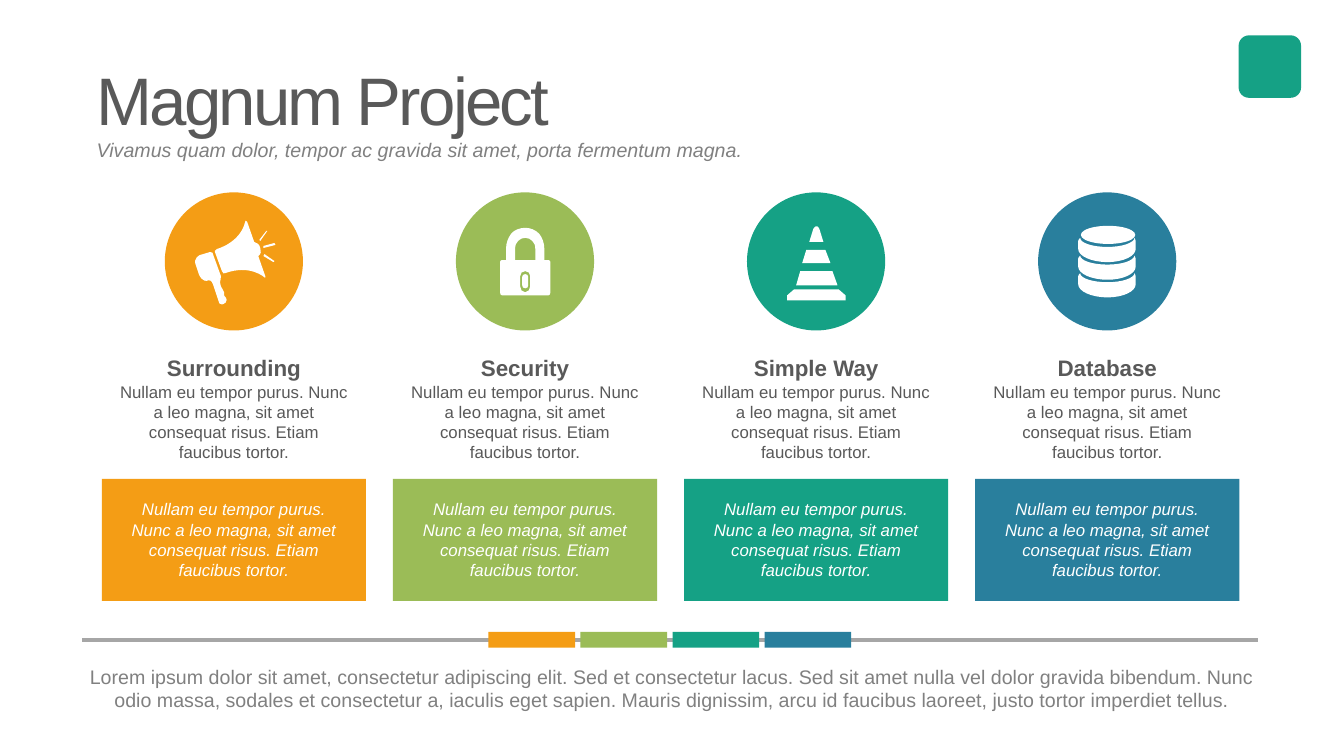
from dataclasses import dataclass
from typing import Optional

from lxml import etree
from pptx import Presentation
from pptx.dml.color import RGBColor
from pptx.enum.shapes import MSO_CONNECTOR, MSO_SHAPE
from pptx.enum.text import MSO_ANCHOR, MSO_AUTO_SIZE, PP_ALIGN
from pptx.oxml.ns import qn
from pptx.util import Emu, Inches, Pt

RECTANGLE, ROUNDED, OVAL = MSO_SHAPE.RECTANGLE, MSO_SHAPE.ROUNDED_RECTANGLE, MSO_SHAPE.OVAL
STRAIGHT = MSO_CONNECTOR.STRAIGHT
TOP, MIDDLE = MSO_ANCHOR.TOP, MSO_ANCHOR.MIDDLE
GROW = MSO_AUTO_SIZE.SHAPE_TO_FIT_TEXT
LEFT, CENTER = PP_ALIGN.LEFT, PP_ALIGN.CENTER

SLIDE_WIDTH, SLIDE_HEIGHT = Inches(13.33), Inches(7.5)
ICON_UNIT = Inches(0.01)
COLUMN_PITCH, MARKER_PITCH = 21.66, 6.85
ICON_CENTER_X, ICON_CENTER_Y = 17.42, 34.67
RULE_START, RULE_END, RULE_TOP = 6.12, 93.62, 84.67

FONT = "Arial"
ORANGE, GREEN, TEAL, BLUE = "F49D15", "9BBC57", "15A185", "297F9D"
WHITE, DARK, GRAY, RULE = "FFFFFF", "595959", "808080", "A6A6A6"
SLIM_INSETS = (0.07, 0.03)
BLURB = "Nullam eu tempor purus. Nunc a leo magna, sit amet consequat risus. Etiam faucibus tortor."
TAGLINE = "Vivamus quam dolor, tempor ac gravida sit amet, porta fermentum magna."
CLOSING = (
    "Lorem ipsum dolor sit amet, consectetur adipiscing elit. Sed et consectetur lacus. "
    "Sed sit amet nulla vel dolor gravida bibendum. Nunc odio massa, sodales et consectetur a, "
    "iaculis eget sapien. Mauris dignissim, arcu id faucibus laoreet, justo tortor imperdiet tellus."
)

Contour = list[tuple[float, ...]]
Outline = list[Contour]


@dataclass(frozen=True)
class Box:
    left: float
    top: float
    width: float
    height: float

    def shifted(self, distance: float) -> "Box":
        return Box(self.left + distance, self.top, self.width, self.height)

    def emu(self) -> tuple[Emu, Emu, Emu, Emu]:
        return across(self.left), down(self.top), across(self.width), down(self.height)


@dataclass(frozen=True)
class Style:
    size: float
    color: str
    bold: bool = False
    italic: bool = False
    align: PP_ALIGN = CENTER
    spacing: Optional[float] = None


@dataclass(frozen=True)
class Column:
    heading: str
    color: str
    icon: list[Outline]
    lid: Optional[Box] = None


BADGE_BOX = Box(92.16, 4.67, 4.65, 8.27)
TITLE_BOX = Box(6.66, 7.27, 34.88, 11.73)
TAGLINE_BOX = Box(6.66, 17.8, 52.51, 4)
CIRCLE_BOX = Box(12.26, 25.45, 10.28, 18.27)
TEXT_BOX = Box(7.92, 44.45, 18.98, 17.47)
PANEL_BOX = Box(7.58, 63.36, 19.65, 16.13)
MARKER_BOX = Box(36.34, 83.6, 6.45, 2.08)
CLOSING_BOX = Box(5.01, 87.4, 90.02, 7.2)
LID_BOX = Box(80.42, 29.87, 4.05, 2.4)

MEGAPHONE: list[Outline] = [
    [[(-14, 20), (-14, 20, -13, 16, -13, 14), (-21, -8), (-21, -8, -21, -11, -24, -10),
      (-34, -7), (-34, -7, -41, -4, -38, 3), (-35, 12), (-35, 12, -32, 21, -25, 18),
      (-25, 18, -22, 18, -21, 22), (-15, 40), (-15, 40, -15, 42, -12, 42),
      (-12, 42, -3, 40, -10, 33), (-8, 29, -14, 26, -14, 20)]],
    [[(24, -6), (27, -8, 27, -11, 26, -14), (25, -18, 23, -19, 20, -20), (13, -40),
      (12, -43, 11, -40, 11, -40), (6, -19, -17, -13, -17, -13), (-20, -12, -19, -10, -19, -10),
      (-12, 9), (-12, 12, -9, 11, -9, 11), (16, 2, 30, 15, 30, 15), (30, 15, 32, 17, 31, 14)]],
    [[(33, -31), (32, -31), (25, -22), (26, -21)]],
    [[(29, -6), (39, 0), (40, -1), (30, -8)]],
    [[(29, -14), (41, -17), (40, -19), (29, -16)]],
]
PADLOCK: list[Outline] = [
    [[(23, -2), (19, -2), (19, -13), (19, -19, 17, -24, 14, -28), (10, -32, 5, -34, 0, -34),
      (-5, -34, -11, -32, -14, -28), (-17, -24, -19, -19, -19, -13), (-19, -2), (-23, -2),
      (-24, -2, -25, -1, -25, 0), (-25, 30), (-25, 32, -24, 33, -23, 33), (23, 33),
      (24, 33, 25, 32, 25, 30), (25, 0), (25, -1, 24, -2, 23, -2)],
     [(5, 24), (5, 27, 3, 30, 0, 30), (-3, 30, -5, 27, -5, 24), (-5, 14),
      (-5, 11, -3, 9, 0, 9), (3, 9, 5, 11, 5, 14)],
     [(10, -2), (-10, -2), (-10, -13), (-10, -17, -9, -19, -7, -21),
      (-5, -23, -3, -24, 0, -24), (3, -24, 5, -23, 7, -21), (9, -19, 10, -17, 10, -13)]],
    [[(0, 12), (-2, 12, -3, 13, -3, 15), (-3, 23), (-3, 25, -2, 26, 0, 26),
      (2, 26, 3, 25, 3, 23), (3, 15), (3, 13, 2, 12, 0, 12)]],
]
CONE: list[Outline] = [
    [[(29, 38), (-29, 38), (-29, 33), (-22, 27), (22, 27), (29, 33)],
     [(-20, 23), (-16, 9), (16, 9), (21, 23)], [(-14, 1), (-10, -12), (9, -12), (14, 1)],
     [(-3, -33), (-3, -33, 0, -39, 3, -33), (7, -20), (-7, -20)]],
]
DISKS: list[Outline] = [
    [[(27, y), (26, y + 5, 15, y + 9, 0, y + 9), (-15, y + 9, -27, y + 5, -27, y),
      (-28, y + 1, -29, y + 2, -29, y + 3), (-29, y + 11), (-29, y + 18, -16, y + 24, 0, y + 24),
      (16, y + 24, 28, y + 18, 28, y + 11), (28, y + 3), (28, y + 2, 27, y + 1, 27, y)]]
    for y in (-24, -6.5, 11)
]
COLUMNS = [Column("Surrounding", ORANGE, MEGAPHONE), Column("Security", GREEN, PADLOCK),
           Column("Simple Way", TEAL, CONE), Column("Database", BLUE, DISKS, LID_BOX)]


def across(share: float) -> Emu:
    return Emu(round(SLIDE_WIDTH * share / 100))


def down(share: float) -> Emu:
    return Emu(round(SLIDE_HEIGHT * share / 100))


def paint(shape, color: str) -> None:
    shape.shadow.inherit = False
    shape.fill.solid()
    shape.fill.fore_color.rgb = RGBColor.from_string(color)
    shape.line.fill.background()


def add_filled(page, kind: MSO_SHAPE, box: Box, color: str):
    shape = page.shapes.add_shape(kind, *box.emu())
    paint(shape, color)
    return shape


def write(shape, lines: list[tuple[str, Style]], insets: tuple[float, float] = (0.1, 0.05),
          anchor: MSO_ANCHOR = TOP, wrap: bool = True) -> None:
    frame = shape.text_frame
    frame.word_wrap, frame.auto_size, frame.vertical_anchor = wrap, GROW, anchor
    frame.margin_left = frame.margin_right = Inches(insets[0])
    frame.margin_top = frame.margin_bottom = Inches(insets[1])
    frame.text = "\n".join(text for text, _ in lines)
    for para, (_, style) in zip(frame.paragraphs, lines):
        para.alignment, para.line_spacing, para.space_before = style.align, style.spacing, Pt(0)
        font = para.font
        font.name, font.size, font.bold, font.italic = FONT, Pt(style.size), style.bold, style.italic
        font.color.rgb = RGBColor.from_string(style.color)


def add_outline(page, outline: Outline, center_x: Emu, center_y: Emu) -> None:
    ends = [[step[-2:] for step in contour] for contour in outline]
    builder = page.shapes.build_freeform(*ends[0][0], scale=1.0)
    builder = page.shapes.build_freeform(*(v * ICON_UNIT for v in ends[0][0]))
    for index, points in enumerate(ends):
        scaled = [(x * ICON_UNIT, y * ICON_UNIT) for x, y in points]
        if index:
            builder.move_to(*scaled[0])
        builder.add_line_segments(scaled[1:], close=True)
    shape = builder.convert_to_shape(center_x, center_y)
    paint(shape, WHITE)
    steps = [step for contour in outline for step in contour[1:]]
    for segment, step in zip(list(shape._element.iter(qn("a:lnTo"))), steps):
        if len(step) == 6:
            segment.tag = qn("a:cubicBezTo")
            for index, (x, y) in enumerate((step[:2], step[2:4])):
                control = etree.Element(qn("a:pt"), x=str(round(x * ICON_UNIT + center_x - shape.left)),
                                        y=str(round(y * ICON_UNIT + center_y - shape.top)))
                segment.insert(index, control)


def add_column(page, column: Column, offset: float) -> None:
    add_filled(page, OVAL, CIRCLE_BOX.shifted(offset), column.color)
    for outline in column.icon:
        add_outline(page, outline, across(ICON_CENTER_X + offset), down(ICON_CENTER_Y))
    if column.lid:
        add_filled(page, OVAL, column.lid, WHITE)
    caption = page.shapes.add_textbox(*TEXT_BOX.shifted(offset).emu())
    heading_style = Style(16, DARK, bold=True, spacing=1.5)
    write(caption, [(column.heading, heading_style), (BLURB, Style(12, DARK))])
    panel = add_filled(page, RECTANGLE, PANEL_BOX.shifted(offset), column.color)
    write(panel, [(BLURB, Style(12, WHITE, italic=True))], (0.2, 0.2))


def add_rule(page) -> None:
    top = down(RULE_TOP)
    rule = page.shapes.add_connector(STRAIGHT, across(RULE_START), top, across(RULE_END), top)
    rule.line.color.rgb, rule.line.width = RGBColor.from_string(RULE), Pt(2.75)
    etree.SubElement(rule._element.spPr, qn("a:effectLst"))
    for index, column in enumerate(COLUMNS):
        add_filled(page, RECTANGLE, MARKER_BOX.shifted(index * MARKER_PITCH), column.color)


def main() -> None:
    deck = Presentation()
    deck.slide_width, deck.slide_height = SLIDE_WIDTH, SLIDE_HEIGHT
    page = deck.slides.add_slide(deck.slide_layouts[0])
    title, tagline = page.placeholders
    for holder, box in ((title, TITLE_BOX), (tagline, TAGLINE_BOX)):
        holder.left, holder.top, holder.width, holder.height = box.emu()
    write(title, [("Magnum Project", Style(48, DARK, align=LEFT))], SLIM_INSETS, wrap=False)
    title.text_frame.paragraphs[0].runs[0]._r.get_or_add_rPr().set("spc", "-200")
    write(tagline, [(TAGLINE, Style(14, GRAY, italic=True, align=LEFT))], SLIM_INSETS, MIDDLE)
    add_filled(page, ROUNDED, BADGE_BOX, TEAL)
    for index, column in enumerate(COLUMNS):
        add_column(page, column, index * COLUMN_PITCH)
    closing = page.shapes.add_textbox(*CLOSING_BOX.emu())
    write(closing, [(CLOSING, Style(14, GRAY))], SLIM_INSETS, MIDDLE)
    add_rule(page)
    deck.save("out.pptx")


if __name__ == "__main__":
    main()
